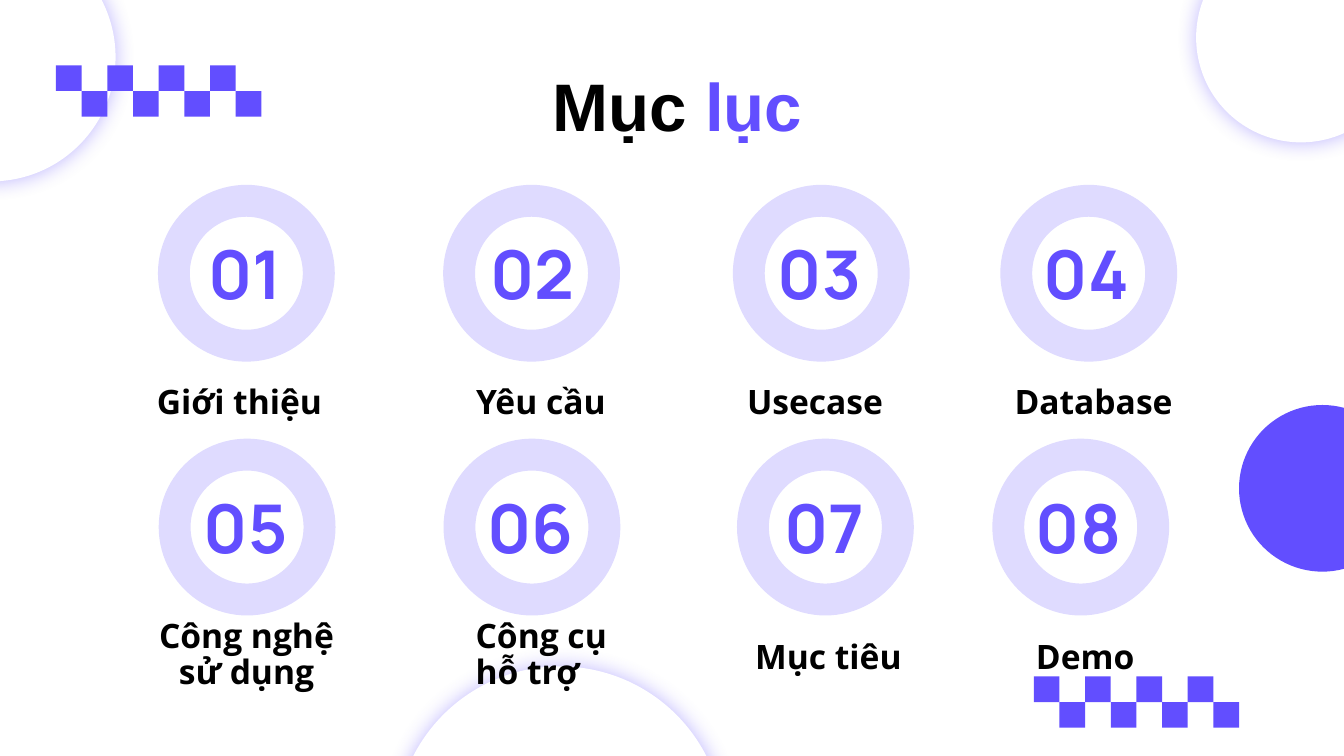
from dataclasses import dataclass

from lxml.etree import SubElement
from pptx import Presentation
from pptx.dml.color import RGBColor
from pptx.enum.shapes import MSO_SHAPE
from pptx.enum.text import MSO_ANCHOR, PP_ALIGN
from pptx.oxml.ns import qn
from pptx.shapes.autoshape import Shape
from pptx.slide import Slide
from pptx.text.text import TextFrame
from pptx.util import Pt


@dataclass(frozen=True)
class Theme:
    accent: str = "624EFF"
    pale: str = "DFDBFF"
    paper: str = "FFFFFF"
    ink: str = "000000"
    title_font: str = "Arial"
    number_font: str = "Manrope"
    label_font: str = "Open Sans"
    display_size: float = 36
    label_size: float = 18
    inset: float = 7.2


@dataclass(frozen=True)
class Circle:
    left: float
    top: float
    size: float
    colour: str
    glow: bool = False


@dataclass(frozen=True)
class Topic:
    number: str
    label: str
    ring_left: float
    number_left: float
    label_left: float
    label_width: float
    align: PP_ALIGN = PP_ALIGN.LEFT
    line_spacing: float = 1.0


THEME = Theme()
RING_SIZE, RING_BAND = 94, 0.174
NUMBER_WIDTH, NUMBER_HEIGHT, NUMBER_DROP = 72, 51, 21.75
LABEL_HEIGHT = 36
CHECK_SIZE, CHECK_COUNT = 13.75, 8

CIRCLES = [
    Circle(-71.3, -36, 133.2, THEME.paper, glow=True),
    Circle(211.7, 357, 176.4, THEME.paper, glow=True),
    Circle(663.8, 217, 89.3, THEME.accent),
    Circle(640.8, -36, 112.3, THEME.paper, glow=True),
]
CHECKER_ORIGINS = [(30, 35), (553.8, 362.4)]

# Each row: top of the rings, top of the labels, topics
ROWS = [
    (99.4, 196.8, [
        Topic("01", "Giới thiệu", 85, 104.4, 77, 145.4),
        Topic("02", "Yêu cầu", 237.8, 255.6, 202.3, 175, PP_ALIGN.CENTER),
        Topic("03", "Usecase", 393, 409.7, 393.1, 145.4),
        Topic("04", "Database", 536.3, 552.2, 536.4, 145.4),
    ]),
    (235.4, 333.4, [
        Topic("05", "Công nghệ sử dụng", 85.4, 102.2, 68.4, 127.4,
              PP_ALIGN.CENTER, 0.88),
        Topic("06", "Công cụ hỗ trợ", 238, 254.2, 247.7, 87.1,
              line_spacing=0.88),
        Topic("07", "Mục tiêu", 395.2, 413.3, 397.5, 131.9),
        Topic("08", "Demo", 532, 547.9, 547.9, 115.9),
    ]),
]


def write(frame: TextFrame, *runs: tuple[str, str], font: str, size: float,
          align: PP_ALIGN = PP_ALIGN.LEFT, anchor: MSO_ANCHOR = MSO_ANCHOR.MIDDLE,
          line_spacing: float = 1.0) -> None:
    """Fill the frame with one bold paragraph of (text, colour) runs."""
    frame.word_wrap = True
    frame.vertical_anchor = anchor
    frame.margin_left = frame.margin_right = Pt(THEME.inset)
    frame.margin_top = frame.margin_bottom = Pt(
        THEME.inset if anchor == MSO_ANCHOR.MIDDLE else THEME.inset / 2)
    paragraph = frame.paragraphs[0]
    paragraph.alignment = align
    paragraph.line_spacing = line_spacing
    for text, colour in runs:
        run = paragraph.add_run()
        run.text = text
        run.font.name = font
        run.font.size = Pt(size)
        run.font.bold = True
        run.font.color.rgb = RGBColor.from_string(colour)


def add_filled(slide: Slide, kind: MSO_SHAPE, left: float, top: float,
               size: float, colour: str) -> Shape:
    shape = slide.shapes.add_shape(kind, Pt(left), Pt(top), Pt(size), Pt(size))
    shape.shadow.inherit = False
    shape.fill.solid()
    shape.fill.fore_color.rgb = RGBColor.from_string(colour)
    shape.line.fill.background()
    return shape


def add_circle(slide: Slide, circle: Circle) -> None:
    disc = add_filled(slide, MSO_SHAPE.OVAL, circle.left, circle.top,
                      circle.size, circle.colour)
    if circle.glow:
        effects = disc.element.spPr.find(qn("a:effectLst"))
        shadow = SubElement(effects, qn("a:outerShdw"), blurRad=str(Pt(11.2)),
                            dist="0", dir="0", algn="ctr", rotWithShape="0")
        tint = SubElement(shadow, qn("a:srgbClr"), val=THEME.accent)
        SubElement(tint, qn("a:alpha"), val="40000")


def add_checkers(slide: Slide, left: float, top: float) -> None:
    for step in range(CHECK_COUNT):
        add_filled(slide, MSO_SHAPE.RECTANGLE, left + step * CHECK_SIZE,
                   top + step % 2 * CHECK_SIZE, CHECK_SIZE, THEME.accent)


def add_topic(slide: Slide, topic: Topic, ring_top: float, label_top: float) -> None:
    ring = add_filled(slide, MSO_SHAPE.DONUT, topic.ring_left, ring_top,
                      RING_SIZE, THEME.pale)
    ring.adjustments[0] = RING_BAND
    ring.line.color.rgb = RGBColor.from_string(THEME.pale)
    ring.line.width = Pt(0.75)

    number = slide.shapes.add_textbox(
        Pt(topic.number_left), Pt(ring_top + NUMBER_DROP),
        Pt(NUMBER_WIDTH), Pt(NUMBER_HEIGHT))
    write(number.text_frame, (topic.number, THEME.accent), font=THEME.number_font,
          size=THEME.display_size, anchor=MSO_ANCHOR.TOP)

    label = slide.shapes.add_textbox(Pt(topic.label_left), Pt(label_top),
                                     Pt(topic.label_width), Pt(LABEL_HEIGHT))
    write(label.text_frame, (topic.label, THEME.ink), font=THEME.label_font,
          size=THEME.label_size, align=topic.align,
          line_spacing=topic.line_spacing)


def main() -> None:
    deck = Presentation()
    deck.slide_width, deck.slide_height = Pt(720), Pt(405)
    slide = deck.slides.add_slide(deck.slide_layouts[5])

    for circle in CIRCLES:
        add_circle(slide, circle)
    for left, top in CHECKER_ORIGINS:
        add_checkers(slide, left, top)

    title = slide.shapes.title
    title.left, title.top, title.width, title.height = (
        Pt(59), Pt(33.1), Pt(607.7), Pt(45.4))
    write(title.text_frame, ("Mục", THEME.ink), (" lục", THEME.accent),
          font=THEME.title_font, size=THEME.display_size, align=PP_ALIGN.CENTER)

    for ring_top, label_top, topics in ROWS:
        for topic in topics:
            add_topic(slide, topic, ring_top, label_top)

    deck.save("out.pptx")


if __name__ == "__main__":
    main()
